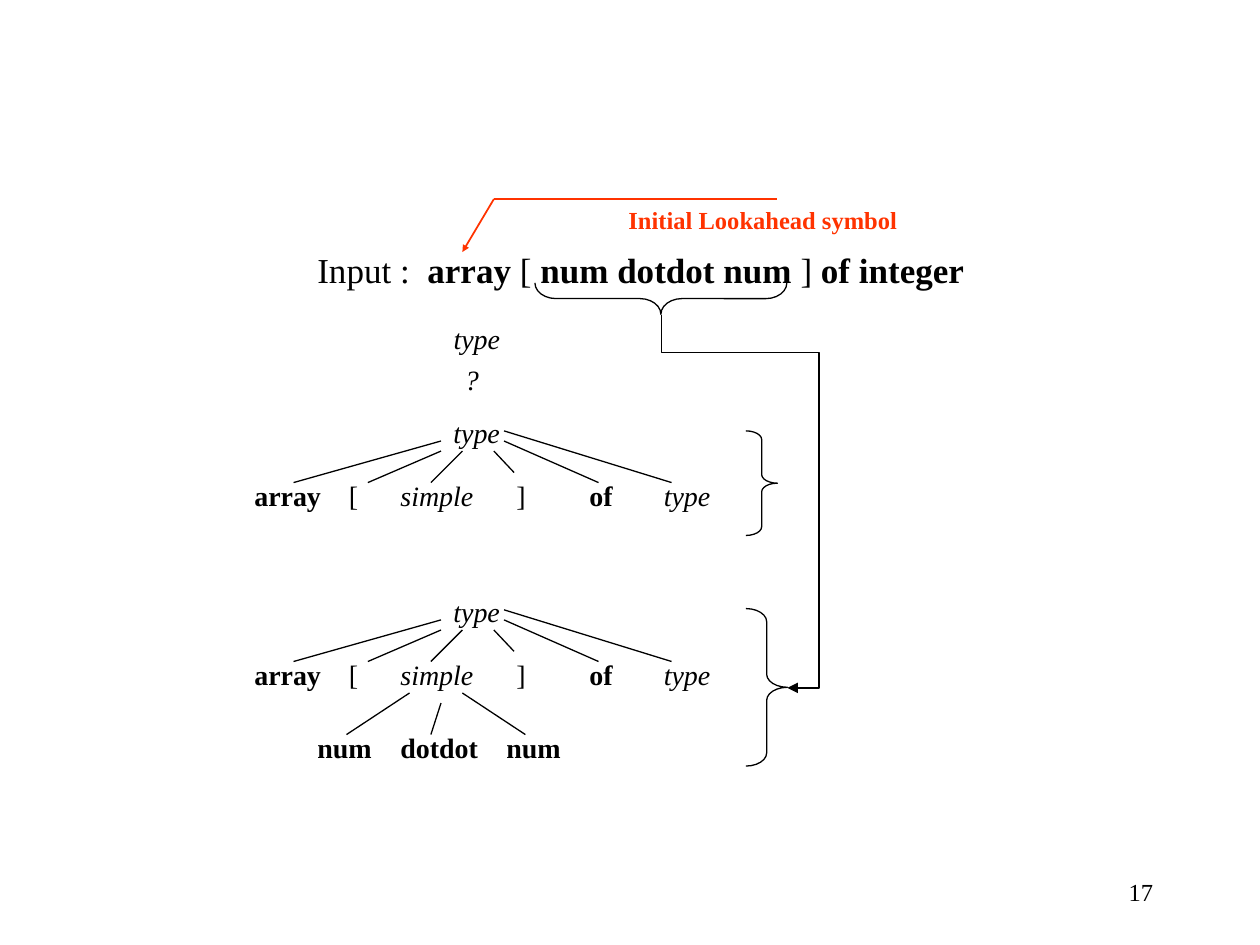
from lxml.etree import SubElement as Sub
from pptx import Presentation
from pptx.dml.color import RGBColor
from pptx.enum.shapes import MSO_CONNECTOR as Link, MSO_SHAPE as Shape
from pptx.enum.text import MSO_ANCHOR as Anchor, MSO_AUTO_SIZE as Fit, PP_ALIGN as Align
from pptx.oxml.ns import qn
from pptx.util import Inches, Pt

BLACK = RGBColor(0, 0, 0)
RED = RGBColor(0xFF, 0x33, 0x00)
FONT = "Times New Roman"


class Pen:
    def __init__(self, slide):
        self.slide = slide
        self.shapes = slide.shapes

    def group(self):
        """Draw into a new group from here on."""
        self.shapes = self.slide.shapes.add_group_shape().shapes

    def ungroup(self):
        self.shapes = self.slide.shapes

    def text(self, runs, x, y, w, h, size=16, style="", color=BLACK,
             align=Align.LEFT, wrap=True, anchor=Anchor.TOP,
             fit=Fit.SHAPE_TO_FIT_TEXT):
        """Runs are (words, bold) pairs, or one string; style holds b and i."""
        box = self.shapes.add_textbox(*map(Inches, (x, y, w, h)))
        frame = box.text_frame
        frame.word_wrap, frame.auto_size = wrap, fit
        frame.vertical_anchor = anchor
        para = frame.paragraphs[0]
        para.alignment = align
        font = para.font
        font.name, font.size, font.color.rgb = FONT, Pt(size), color
        if isinstance(runs, str):
            font.bold, font.italic = "b" in style, "i" in style
            para.add_run().text = runs
            return
        for words, bold in runs:
            run = para.add_run()
            run.text, run.font.bold = words, bold

    def line(self, x1, y1, x2, y2, color=BLACK, width=0.75, head=None,
             kind=Link.STRAIGHT):
        """Head is the arrowhead's size, sm or med."""
        link = self.shapes.add_connector(kind, *map(Inches, (x1, y1, x2, y2)))
        link.line.color.rgb, link.line.width = color, Pt(width)
        if head:
            Sub(link.line._get_or_add_ln(), qn("a:tailEnd"), type="triangle",
                w=head, len=head)
        Sub(link._element.spPr, qn("a:effectLst"))
        return link

    def bend(self, x1, y1, x2, y2, first, second):
        """Arrow that leaves downwards and turns three times."""
        link = self.line(x1, y1, x2, y2, head="med", kind=Link.ELBOW)
        w, h = y2 - y1, x2 - x1
        link.left, link.top = Inches((x1 + x2 - w) / 2), Inches((y1 + y2 - h) / 2)
        link.width, link.height = Inches(w), Inches(h)
        props = link._element.spPr
        frame = props.find(qn("a:xfrm"))
        frame.set("rot", "16200000")
        frame.set("flipH", "1")
        geom = props.find(qn("a:prstGeom"))
        geom.set("prst", "bentConnector4")
        guides = geom.find(qn("a:avLst"))
        for name, part in (("adj1", first), ("adj2", second)):
            Sub(guides, qn("a:gd"), name=name, fmla=f"val {round(part * 100000)}")

    def brace(self, x, y, w, h, turn=0):
        item = self.shapes.add_shape(Shape.RIGHT_BRACE, *map(Inches, (x, y, w, h)))
        item.adjustments[0] = h / w / 12
        item.rotation = turn
        item.shadow.inherit = False
        item.fill.background()
        item.line.color.rgb, item.line.width = BLACK, Pt(0.75)

    def tree(self, top):
        """Root "type" with its six children."""
        for word, x, style in LEAVES:
            self.text(word, x, top + 0.5, 1.25, 0.37, style=style)
        self.text("type", 3.5, top, 1.25, 0.37, style="i")
        for x1, y1, x2, y2 in EDGES:
            self.line(x1, top + y1, x2, top + y2)


LEAVES = [("type", 5.17, "i"), ("]", 4, ""), ("simple", 3.08, "i"),
          ("of", 4.58, "b"), ("[", 2.67, ""), ("array", 1.92, "b")]
# Start and end of each branch, heights measured from the tree's top
EDGES = [(3.67, 0.33, 3.42, 0.58), (3.92, 0.33, 4.08, 0.5),
         (4, 0.25, 4.75, 0.58), (4, 0.17, 5.33, 0.58),
         (3.5, 0.25, 2.33, 0.58), (3.5, 0.33, 2.92, 0.58)]

deck = Presentation()
deck.slide_width, deck.slide_height = Inches(10), Inches(7.5)
pen = Pen(deck.slides.add_slide(deck.slide_layouts[6]))

# First parse tree
pen.group()
pen.tree(3.25)

# Second parse tree, with "simple" expanded
pen.group()
pen.tree(4.67)
for word, x in (("num", 3.92), ("num", 2.42), ("dotdot", 3.08)):
    pen.text(word, x, 5.75, 1.17, 0.37, style="b")
for x1, y1, x2 in ((3.5, 5.58, 3.42), (3.67, 5.5, 4.17), (3.25, 5.5, 2.75)):
    pen.line(x1, y1, x2, 5.83)
pen.ungroup()

# Input string
pen.text([("Input :  ", False), ("array ", True), ("[ ", False),
          ("num dotdot num ", True), ("] ", False), ("of integer", True)],
         2.42, 1.92, 5.58, 0.44, size=20)

# Braces and the arrow that joins them
pen.brace(5.92, 3.42, 0.25, 0.83)
pen.brace(5.92, 4.83, 0.33, 1.25)
pen.brace(5.12, 1.37, 0.25, 2, turn=90)
pen.bend(5.25, 2.5, 6.25, 5.46, 0.1, 1.25)

# Lookahead pointer
pen.line(3.92, 1.58, 3.67, 2, RED, 1, head="sm")
pen.line(3.92, 1.58, 6.17, 1.58, RED, 1)
pen.text("Initial Lookahead symbol", 4.85, 1.58, 2.41, 0.34, size=14,
         style="b", color=RED, align=Align.CENTER, wrap=False)

# Start of the parse
pen.text("type", 3.5, 2.5, 0.57, 0.37, style="i", align=Align.CENTER, wrap=False)
pen.text("?", 3.59, 2.83, 0.31, 0.37, style="i", align=Align.CENTER, wrap=False)

# Page number
pen.text("17", 7.17, 6.83, 2.08, 0.5, size=14, align=Align.RIGHT,
         anchor=Anchor.MIDDLE, fit=Fit.NONE)

deck.save("out.pptx")
